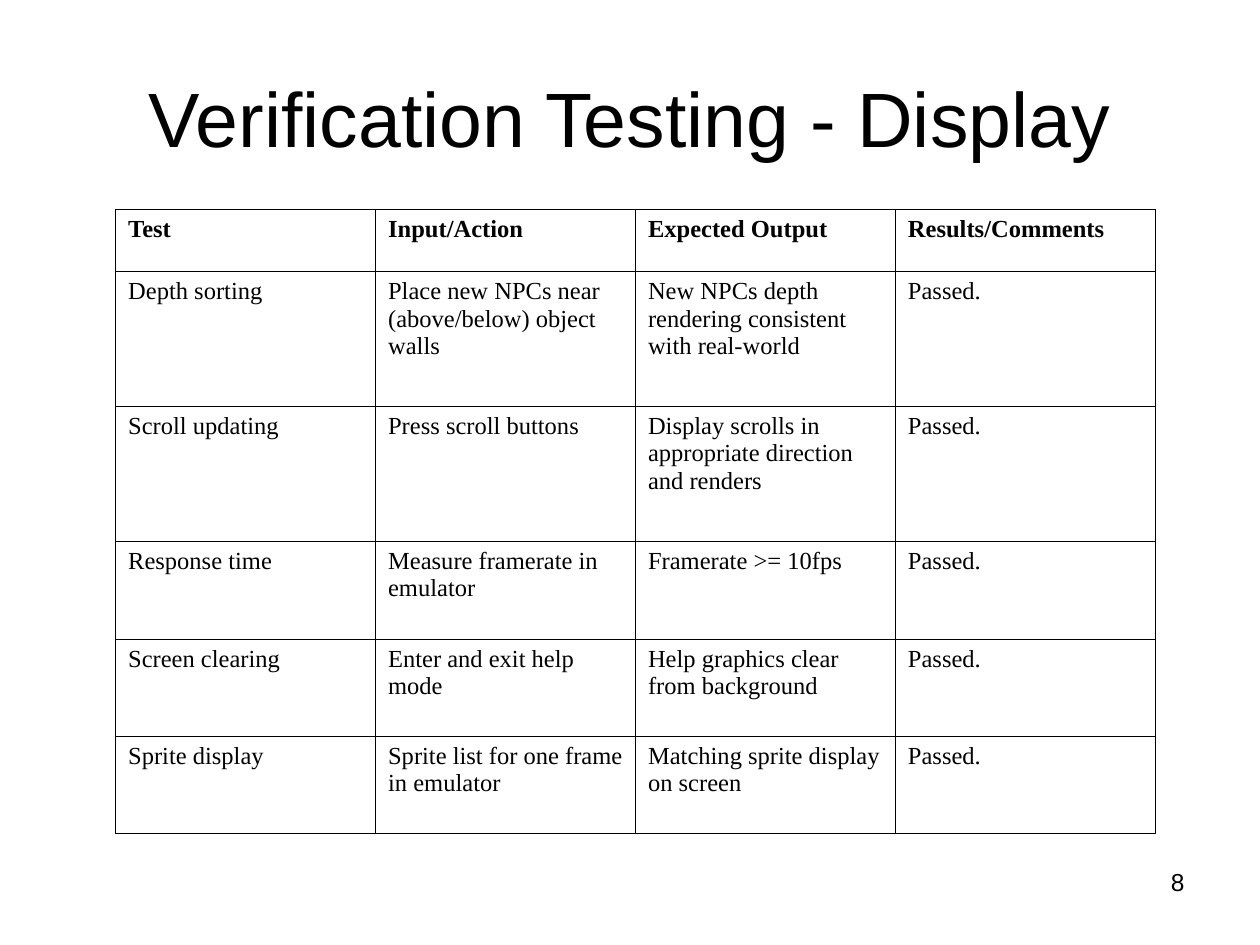
from lxml.etree import SubElement
from pptx import Presentation
from pptx.dml.color import RGBColor
from pptx.enum.text import MSO_ANCHOR, PP_ALIGN
from pptx.oxml.ns import qn
from pptx.util import Cm, Pt

COLORS = {"text": "000000", "border": "000000", "background": "FFFFFF"}
BORDER_WIDTH = Pt(0.45)
COLUMN_WIDTH = Cm(5.24)
ROW_HEIGHTS = [1.25, 2.72, 2.72, 1.96, 1.96, 1.96]
ROWS = [
    ("Test", "Input/Action", "Expected Output", "Results/Comments"),
    ("Depth sorting", "Place new NPCs near (above/below) object walls",
     "New NPCs depth rendering consistent with real-world", "Passed."),
    ("Scroll updating", "Press scroll buttons",
     "Display scrolls in appropriate direction and renders", "Passed."),
    ("Response time", "Measure framerate in emulator",
     "Framerate >= 10fps", "Passed."),
    ("Screen clearing", "Enter and exit help mode",
     "Help graphics clear from background", "Passed."),
    ("Sprite display", "Sprite list for one frame in emulator",
     "Matching sprite display on screen", "Passed."),
]


def format_text(tf, font, size, align=PP_ALIGN.LEFT, bold=False):
    for p in tf.paragraphs:
        p.alignment = align
        for r in p.runs:
            r.font.name = font
            r.font.size = Pt(size)
            r.font.bold = bold
            r.font.color.rgb = RGBColor.from_string(COLORS["text"])


def add_text(s, text, left, top, width, height, size, align,
             anchor=MSO_ANCHOR.TOP):
    sp = s.shapes.add_textbox(Cm(left), Cm(top), Cm(width), Cm(height))
    tf = sp.text_frame
    tf.word_wrap = True
    tf.vertical_anchor = anchor
    tf.text = text
    format_text(tf, "Arial", size, align)


def set_borders(cell):
    tc_pr = cell._tc.get_or_add_tcPr()
    for side in ("lnL", "lnR", "lnT", "lnB"):
        ln = SubElement(tc_pr, qn(f"a:{side}"), w=str(BORDER_WIDTH))
        fill = SubElement(ln, qn("a:solidFill"))
        SubElement(fill, qn("a:srgbClr"), val=COLORS["border"])


def add_test_table(s, left, top):
    columns = len(ROWS[0])
    table = s.shapes.add_table(
        len(ROWS), columns, Cm(left), Cm(top),
        COLUMN_WIDTH * columns, Cm(sum(ROW_HEIGHTS))).table
    table.horz_banding = False
    for column in table.columns:
        column.width = COLUMN_WIDTH
    for i, (texts, height) in enumerate(zip(ROWS, ROW_HEIGHTS)):
        table.rows[i].height = Cm(height)
        for cell, text in zip(table.rows[i].cells, texts):
            cell.text_frame.text = text
            format_text(cell.text_frame, "Times New Roman", 14, bold=i == 0)
            set_borders(cell)
            cell.fill.background()


def main():
    prs = Presentation()
    prs.slide_width, prs.slide_height = Cm(25.4), Cm(19.05)
    s = prs.slides.add_slide(prs.slide_layouts[6])
    s.background.fill.solid()
    s.background.fill.fore_color.rgb = RGBColor.from_string(
        COLORS["background"])
    add_text(s, "Verification Testing - Display", 1.27, 0.76, 22.86, 3.18,
             44, PP_ALIGN.CENTER, MSO_ANCHOR.MIDDLE)
    add_test_table(s, 2.33, 4.23)
    add_text(s, "8", 18.2, 17.35, 5.93, 1.32, 14, PP_ALIGN.RIGHT)
    prs.save("out.pptx")


if __name__ == "__main__":
    main()
